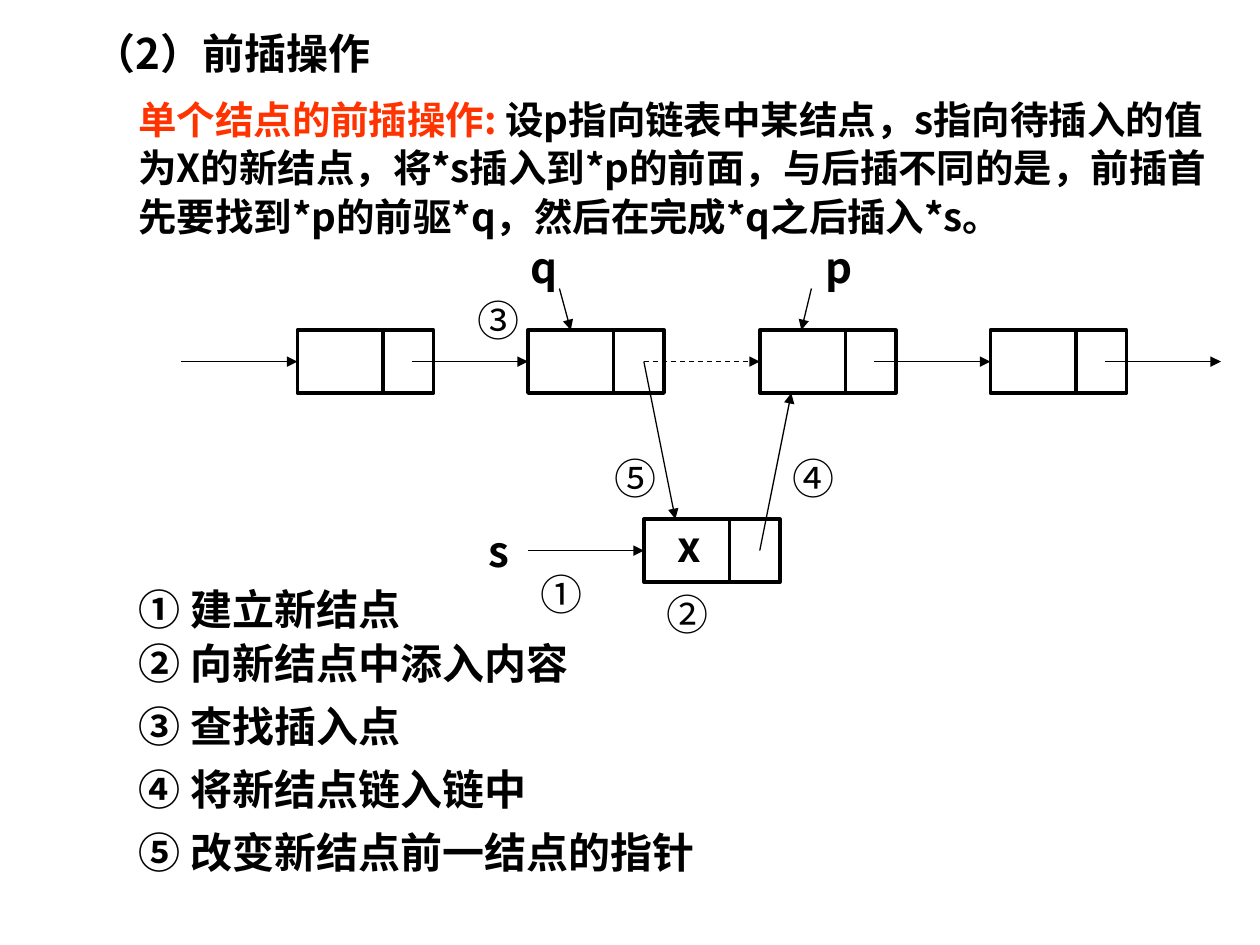
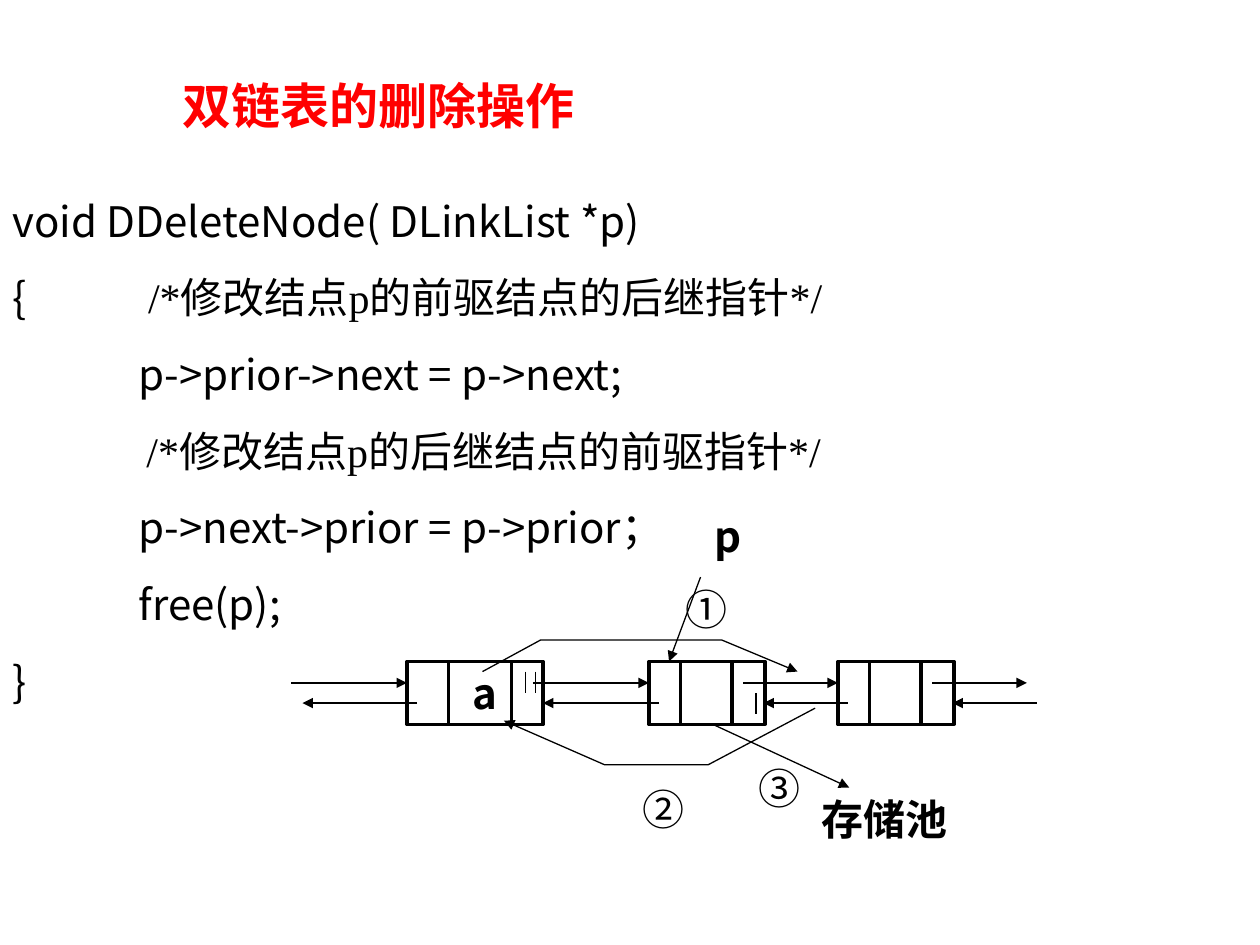
"""Builds two slides on inserting before a list node and deleting from a doubly linked list."""
from lxml import etree
from pptx import Presentation
from pptx import util as u
from pptx.dml.color import RGBColor
from pptx.enum import dml, shapes, text
from pptx.oxml.ns import qn

PX = 9144
COLORS = {"ink": "000000", "paper": "FFFFFF", "lead": "FF3300", "title": "FF0000"}
SC, JP, SERIF = "Noto Sans CJK SC", "Noto Sans CJK JP", "Times New Roman"


def write(frame, lines, font=SC, size=24, bold=False, color="ink", gaps=(0,), leading=None):
    """Fill a frame with lines, each a list of runs, and return its paragraphs."""
    frame.word_wrap = True
    frame.auto_size = text.MSO_AUTO_SIZE.NONE
    frame.vertical_anchor = text.MSO_ANCHOR.TOP
    for number, runs in enumerate(lines):
        paragraph = frame.paragraphs[0] if number == 0 else frame.add_paragraph()
        for words in runs:
            paragraph.add_run().text = words
        props = paragraph._p.get_or_add_pPr()
        for name, value in [("marL", 0), ("indent", 0), ("defTabSz", 100 * PX), ("hangingPunct", 0)]:
            props.set(name, str(value))
        etree.SubElement(props, qn("a:buNone"))
        paragraph.alignment = text.PP_ALIGN.LEFT
        paragraph.line_spacing = u.Pt(leading or size * 1.2)
        paragraph.space_before = u.Pt(gaps[min(number, len(gaps) - 1)])
        paragraph.font.size = u.Pt(size)
        paragraph.font.bold = bold
        paragraph.font.color.rgb = RGBColor.from_string(COLORS[color])
        paragraph.font.name = font
        east_asian = JP if font == JP else SC
        etree.SubElement(props.find(qn("a:defRPr")), qn("a:ea"), typeface=east_asian)
    return frame.paragraphs


def draw(slide, *points, width=0.75, arrow=True):
    """Draw a line through the points: a connector for two, an open outline for more."""
    if len(points) == 2:
        ends = [PX * value for point in points for value in point]
        stroke = slide.shapes.add_connector(shapes.MSO_CONNECTOR.STRAIGHT, *ends)
        etree.SubElement(stroke._element.spPr, qn("a:effectLst"))
    else:
        builder = slide.shapes.build_freeform(*points[0], scale=PX)
        builder.add_line_segments(points[1:], close=False)
        stroke = builder.convert_to_shape()
        stroke.fill.background()
        stroke.shadow.inherit = False
    stroke.line.width = u.Pt(width)
    stroke.line.color.rgb = RGBColor.from_string(COLORS["ink"])
    if arrow:
        etree.SubElement(stroke._element.spPr.find(qn("a:ln")), qn("a:tailEnd"), type="triangle")
    return stroke


deck = Presentation()
deck.slide_width, deck.slide_height = 1000 * PX, 750 * PX
insertion, deletion = [deck.slides.add_slide(deck.slide_layouts[1]) for _ in range(2)]

for slide, title_box, body_box in [
    (insertion, (64, 17, 400, 50), (100, 458, 483, 242)),
    (deletion, (135, 55, 400, 57), (0, 150, 848, 476)),
]:
    for holder, box in zip(slide.placeholders, (title_box, body_box)):
        holder.left, holder.top, holder.width, holder.height = [PX * value for value in box]

write(insertion.shapes.title.text_frame, [["（2）前插操作"]], bold=True)
write(deletion.shapes.title.text_frame, [["双链表的删除操作"]], SERIF, 28, True, "title")

intro = insertion.shapes.add_textbox(100 * PX, 70 * PX, 873 * PX, 163 * PX)
intro.fill.solid()
intro.fill.fore_color.rgb = RGBColor.from_string(COLORS["paper"])
explanation = write(intro.text_frame, [[
    "单个结点的前插操作: ",
    "设p指向链表中某结点，s指向待插入的值为X的新结点，将*s插入到*p的前面，与后插不同的是，"
    "前插首先要找到*p的前驱*q，然后在完成*q之后插入*s。",
]], size=22, bold=True, leading=27.5)[0]
explanation.runs[0].font.color.rgb = RGBColor.from_string(COLORS["lead"])

steps = ["① 建立新结点", "② 向新结点中添入内容", "③ 查找插入点", "④ 将新结点链入链中", "⑤ 改变新结点前一结点的指针"]
write(insertion.placeholders[1].text_frame, [[step] for step in steps], bold=True, gaps=(0, 2, 7.2))

code = deletion.placeholders[1]
code.fill.solid()
code.fill.fore_color.rgb = RGBColor.from_string(COLORS["paper"])
code_lines = write(code.text_frame, [
    ["void DDeleteNode( DLinkList *p)"],
    ["{\t ", "/*修改结点p的前驱结点的后继指针*/"],
    ["\tp->prior->next = p->next;"],
    ["\t ", "/*修改结点p的后继结点的前驱指针*/"],
    ["\tp->next->prior = p->prior；"],
    ["\tfree(p);"],
    ["}"],
], gaps=(0, 15))
for commented in (code_lines[1], code_lines[3]):
    commented.runs[1].font.name = SERIF
code_lines[3].runs[0].font.size = u.Pt(20)

chain_lefts = [round(236 + 550 * place / 3) for place in range(5)]
nodes = []
for slide, left, top, width, dividers in [
    *[(insertion, left, 262, 108, [68]) for left in chain_lefts[:4]],
    (insertion, 511, 412, 108, [68]),
    (deletion, 323, 525, 108, [33, 83]),
    (deletion, 515, 525, 92, [25, 66]),
    (deletion, 665, 525, 92, [25, 66]),
]:
    node = slide.shapes.add_shape(
        shapes.MSO_SHAPE.RECTANGLE, left * PX, top * PX, width * PX, 50 * PX)
    node.shadow.inherit = False
    node.fill.background()
    node.line.width = u.Pt(2)
    node.line.color.rgb = RGBColor.from_string(COLORS["ink"])
    nodes.append(node)
    for divider in dividers:
        x = left + divider
        draw(slide, (x, top), (x, top + 50), width=2, arrow=False)

for left, node in zip(chain_lefts, nodes[:4]):
    link = draw(insertion, (left - 92, 287), (left, 287))
    link.end_connect(node, 1)
    if node is nodes[2]:
        link.line.dash_style = dml.MSO_LINE.DASH
draw(insertion, (chain_lefts[4] - 92, 287), (chain_lefts[4], 287))
draw(insertion, (419, 437), (511, 437)).end_connect(nodes[4], 1)

for start, end in [
    ((603, 437), (628, 312)),
    ((511, 287), (536, 412)),
    ((444, 229), (453, 262)),
    ((644, 229), (636, 262)),
]:
    draw(insertion, start, end)

for start, end in [(231, 323), (423, 515), (590, 665), (740, 815)]:
    draw(deletion, (start, 542), (end, 542))
for start, end in [(331, 240), (523, 431), (673, 606), (823, 756)]:
    draw(deletion, (start, 558), (end, 558))
for left, top in [(417, 533), (600, 550)]:
    for x in (left, left + 8):
        draw(deletion, (x, top), (x, top + 17), arrow=False)
draw(deletion, (556, 458), (531, 525))
draw(deletion, (566, 575), (674, 625))
draw(deletion, (383, 533), (429, 508), (573, 508), (633, 533))
draw(deletion, (647, 562), (562, 607), (480, 607), (400, 572))

for slide, label, left, top in [
    (insertion, "①", 419, 446),
    (insertion, "②", 519, 462),
    (insertion, "③", 369, 229),
    (insertion, "④", 619, 354),
    (insertion, "⑤", 478, 354),
    (insertion, "q", 411, 187),
    (insertion, "p", 645, 187),
    (insertion, "s", 378, 412),
    (insertion, "x", 528, 408),
    (deletion, "①", 534, 458),
    (deletion, "②", 500, 617),
    (deletion, "③", 592, 600),
    (deletion, "p", 557, 400),
    (deletion, "a", 365, 525),
    (deletion, "存储池", 642, 625),
]:
    width = 20 + 40 * len(label)
    tag = slide.shapes.add_textbox(left * PX, top * PX, width * PX, 50 * PX)
    write(tag.text_frame, [[label]], JP, bold=label not in "①②③④⑤")

deck.save("out.pptx")
